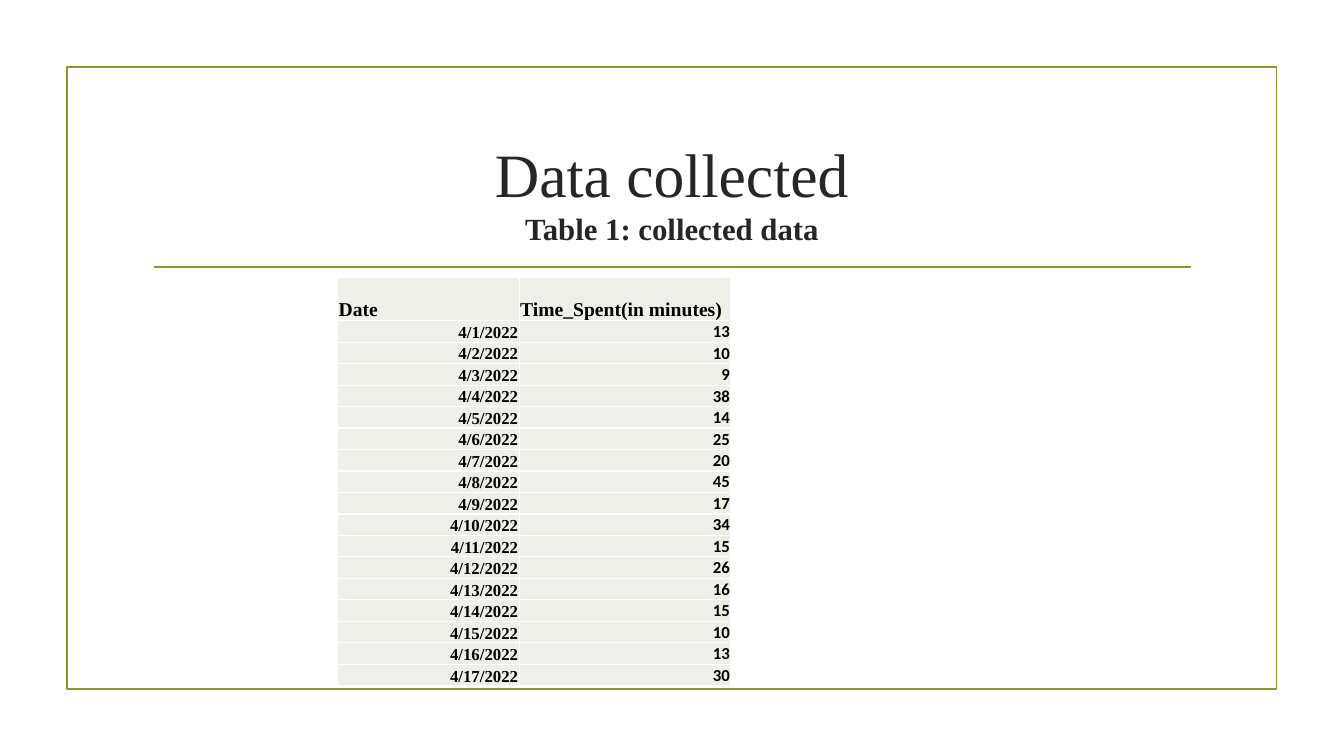
import dataclasses

import lxml.etree
import pptx
import pptx.dml.color
import pptx.enum.shapes
import pptx.enum.text
import pptx.oxml.ns
import pptx.util

Pt = pptx.util.Pt
ALIGN = pptx.enum.text.PP_ALIGN
ANCHOR = pptx.enum.text.MSO_ANCHOR
qn = pptx.oxml.ns.qn

GREEN = "83992A"
SERIF = "Times New Roman"
MINUTES = [13, 10, 9, 38, 14, 25, 20, 45, 17, 34, 15, 26, 16, 15, 10, 13, 30]


@dataclasses.dataclass
class Column:
    header: str
    width: float
    values: list[str]
    font: str


COLUMNS = [
    Column("Date", 129.6, [f"4/{day}/2022" for day in range(1, len(MINUTES) + 1)], SERIF),
    Column("Time_Spent(in minutes)", 151.2, [str(m) for m in MINUTES], "Calibri"),
]


def rgb(color: str) -> pptx.dml.color.RGBColor:
    return pptx.dml.color.RGBColor.from_string(color)


def add_text(p, text: str, *, size: float, color: str, font: str = SERIF,
             bold: bool = False, align=ALIGN.LEFT) -> None:
    p.alignment = align
    r = p.add_run()
    r.text = text
    r.font.name = font
    r.font.size = Pt(size)
    r.font.bold = bold
    r.font.color.rgb = rgb(color)


def set_line(sp) -> None:
    sp.line.color.rgb = rgb(GREEN)
    sp.line.width = Pt(1.25)


def set_borders(cell, color: str, width: float) -> None:
    tc_pr = cell._tc.get_or_add_tcPr()
    for side in ("a:lnL", "a:lnR", "a:lnT", "a:lnB"):
        ln = lxml.etree.SubElement(tc_pr, qn(side), w=str(Pt(width)))
        fill = lxml.etree.SubElement(ln, qn("a:solidFill"))
        lxml.etree.SubElement(fill, qn("a:srgbClr"), val=color)


def fill_cell(cell, text: str, **text_format) -> None:
    set_borders(cell, "FFFFFF", 1)
    cell.fill.solid()
    cell.fill.fore_color.rgb = rgb("EDEFE8")
    cell.margin_left = cell.margin_right = cell.margin_top = Pt(0.7)
    cell.margin_bottom = Pt(0)
    cell.vertical_anchor = ANCHOR.BOTTOM
    add_text(cell.text_frame.paragraphs[0], text, color="000000", bold=True, **text_format)


def add_frame(s) -> None:
    sp = s.shapes.add_shape(pptx.enum.shapes.MSO_SHAPE.RECTANGLE,
                            Pt(47.8), Pt(48), Pt(864), Pt(444))
    sp.shadow.inherit = False
    sp.fill.background()
    set_line(sp)
    rule = s.shapes.add_connector(pptx.enum.shapes.MSO_CONNECTOR.STRAIGHT,
                                  Pt(110), Pt(190.8), Pt(850.5), Pt(190.8))
    lxml.etree.SubElement(rule._element.spPr, qn("a:effectLst"))
    set_line(rule)


def add_title(s) -> None:
    sp = s.shapes.title
    s.shapes._spTree.append(sp._element)
    sp.left, sp.top, sp.width, sp.height = Pt(102), Pt(77), Pt(756), Pt(103)
    tf = sp.text_frame
    tf.word_wrap = True
    tf.auto_size = pptx.enum.text.MSO_AUTO_SIZE.NONE
    tf.vertical_anchor = ANCHOR.BOTTOM
    p = tf.paragraphs[0]
    add_text(p, "Data collected", size=44, color="262626", align=ALIGN.CENTER)
    p.add_line_break()
    add_text(p, "Table 1: collected data", size=22, color="262626", bold=True,
             align=ALIGN.CENTER)


def add_data_table(s) -> None:
    header_height, row_height = 30.8, 15
    width = sum(column.width for column in COLUMNS)
    height = header_height + row_height * len(MINUTES)
    table = s.shapes.add_table(len(MINUTES) + 1, len(COLUMNS), Pt(241.2), Pt(198.3),
                               Pt(width), Pt(height)).table
    for i, row in enumerate(table.rows):
        row.height = Pt(row_height if i else header_height)
    for j, column in enumerate(COLUMNS):
        table.columns[j].width = Pt(column.width)
        fill_cell(table.cell(0, j), column.header, size=14)
        for i, value in enumerate(column.values, start=1):
            fill_cell(table.cell(i, j), value, size=12, font=column.font, align=ALIGN.RIGHT)


def main() -> None:
    prs = pptx.Presentation()
    prs.slide_width, prs.slide_height = Pt(960), Pt(540)
    s = prs.slides.add_slide(prs.slide_layouts[5])
    add_frame(s)
    add_title(s)
    add_data_table(s)
    prs.save("out.pptx")


if __name__ == "__main__":
    main()
